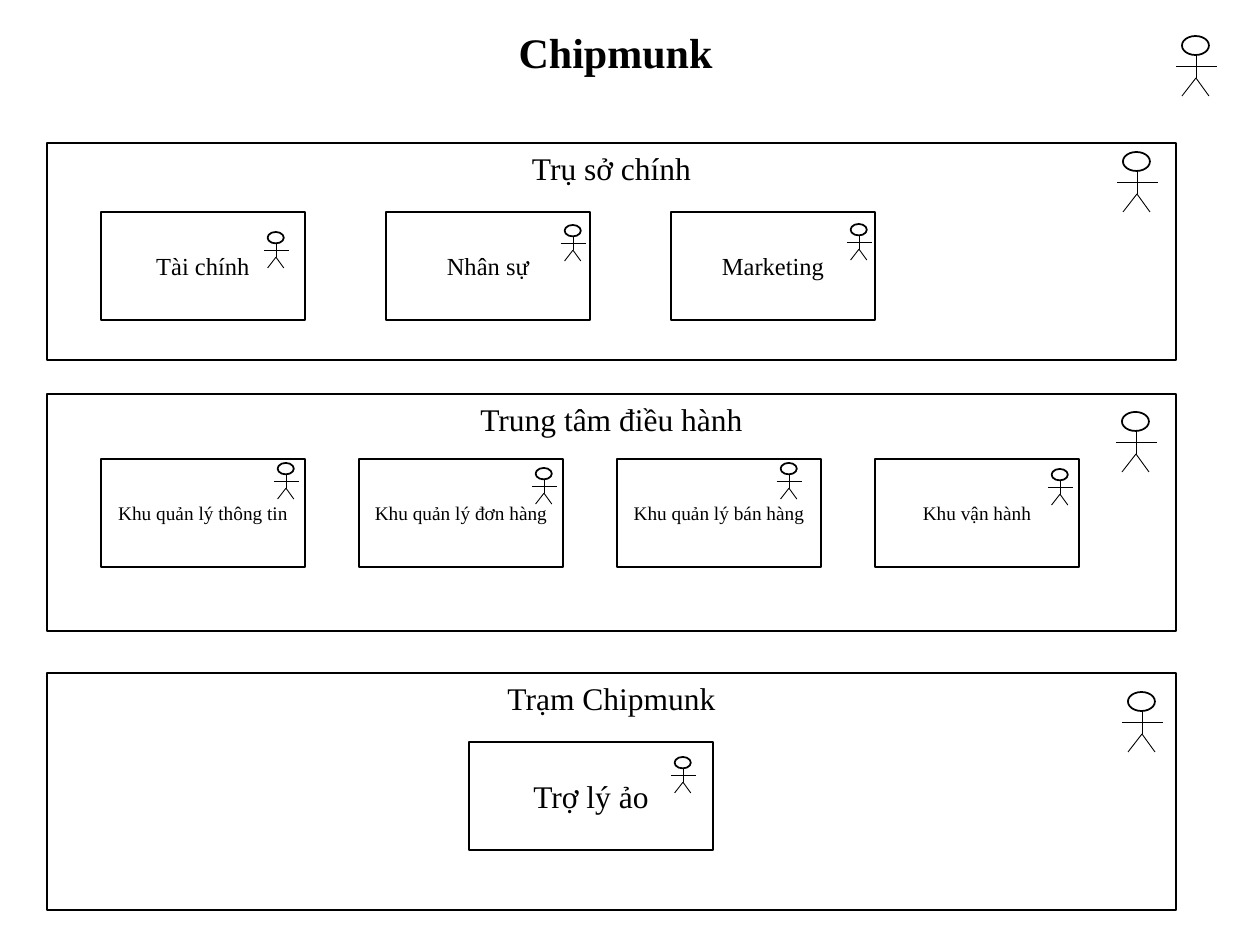
from lxml.etree import SubElement
from pptx import Presentation
from pptx.dml.color import RGBColor
from pptx.enum.shapes import MSO_CONNECTOR, MSO_SHAPE
from pptx.enum.text import MSO_ANCHOR, MSO_AUTO_SIZE, PP_ALIGN
from pptx.oxml.ns import qn
from pptx.util import Inches, Pt

PX = Inches(1) / 126
BLACK = "000000"
FONT = "Times New Roman"
PANEL_X, PANEL_W = 47, 1129
BOX_X, BOX_H = 54, 108
LIMBS = [(20, 18, 20, 42), (6, 60, 20, 42), (20, 42, 33, 60), (0, 30, 41, 30)]

PANELS = [
    {"title": "Trụ sở chính", "y": 143, "h": 217, "actor": (1070, 9),
     "x": BOX_X, "y_box": 69, "w": 204, "pitch": 285, "size": 14,
     "boxes": [("Tài chính", 163, 20), ("Nhân sự", 175, 13),
               ("Marketing", 176, 12)]},
    {"title": "Trung tâm điều hành", "y": 394, "h": 237, "actor": (1069, 18),
     "x": BOX_X, "y_box": 65, "w": 204, "pitch": 258, "size": 11,
     "boxes": [("Khu quản lý thông tin", 173, 4), ("Khu quản lý đơn hàng", 173, 9),
               ("Khu quản lý bán hàng", 160, 4), ("Khu vận hành", 173, 10)]},
    {"title": "Trạm Chipmunk", "y": 673, "h": 237, "actor": (1075, 19),
     "x": 422, "y_box": 69, "w": 244, "pitch": 0, "size": 18,
     "boxes": [("Trợ lý ảo", 202, 15)]},
]


def emu(*lengths):
    return [round(n * PX) for n in lengths]


def color(value):
    return RGBColor.from_string(value)


def apply(obj, values):
    for name, value in values.items():
        setattr(obj, name, value)


def write(tf, text, size, align, bold=False):
    p = tf.paragraphs[0]
    p.alignment = align
    r = p.add_run()
    r.text = text
    apply(r.font, {"name": FONT, "size": Pt(size), "bold": bold})
    r.font.color.rgb = color(BLACK)


def outline(shapes, kind, x, y, w, h):
    sp = shapes.add_shape(kind, *emu(x, y, w, h))
    sp.shadow.inherit = False
    sp.fill.background()
    sp.line.color.rgb = color(BLACK)
    sp.line.width = Pt(1)
    return sp


def add_box(s, x, y, w, h, text, size, anchor):
    sp = outline(s.shapes, MSO_SHAPE.RECTANGLE, x, y, w, h)
    apply(sp.text_frame, {"word_wrap": True, "vertical_anchor": anchor})
    write(sp.text_frame, text, size, PP_ALIGN.CENTER)


def add_actor(s, x, y, scale=1.0):
    shapes = s.shapes.add_group_shape().shapes
    outline(shapes, MSO_SHAPE.OVAL, x + 6 * scale, y, 27 * scale, 19 * scale)
    for x1, y1, x2, y2 in LIMBS:
        line = shapes.add_connector(
            MSO_CONNECTOR.STRAIGHT,
            *emu(x + x1 * scale, y + y1 * scale, x + x2 * scale, y + y2 * scale))
        line.line.color.rgb = color(BLACK)
        line.line.width = Pt(0.5)
        SubElement(line._element.spPr, qn("a:effectLst"))


def add_title(s, x, y, w, h):
    title = s.shapes.title
    apply(title, dict(zip(("left", "top", "width", "height"), emu(x, y, w, h))))
    tf = title.text_frame
    apply(tf, {"word_wrap": False, "vertical_anchor": MSO_ANCHOR.TOP,
               "auto_size": MSO_AUTO_SIZE.SHAPE_TO_FIT_TEXT})
    write(tf, "Chipmunk", 24, PP_ALIGN.LEFT, bold=True)


def add_panel(s, x, y, w, panel):
    add_box(s, x, y, w, panel["h"], panel["title"], 18, MSO_ANCHOR.TOP)
    dx, dy = panel["actor"]
    add_actor(s, x + dx, y + dy)
    top = y + panel["y_box"]
    for i, (text, dx, dy) in enumerate(panel["boxes"]):
        left = x + panel["x"] + i * panel["pitch"]
        add_box(s, left, top, panel["w"], BOX_H, text, panel["size"], MSO_ANCHOR.MIDDLE)
        add_actor(s, left + dx, top + dy, 0.6)


def main():
    prs = Presentation()
    apply(prs, {"slide_width": Inches(10), "slide_height": Inches(7.5)})
    s = prs.slides.add_slide(prs.slide_layouts[5])
    add_title(s, 506, 20, 222, 63)
    add_actor(s, 1176, 36)
    for panel in PANELS:
        add_panel(s, PANEL_X, panel["y"], PANEL_W, panel)
    prs.save("out.pptx")


if __name__ == "__main__":
    main()
